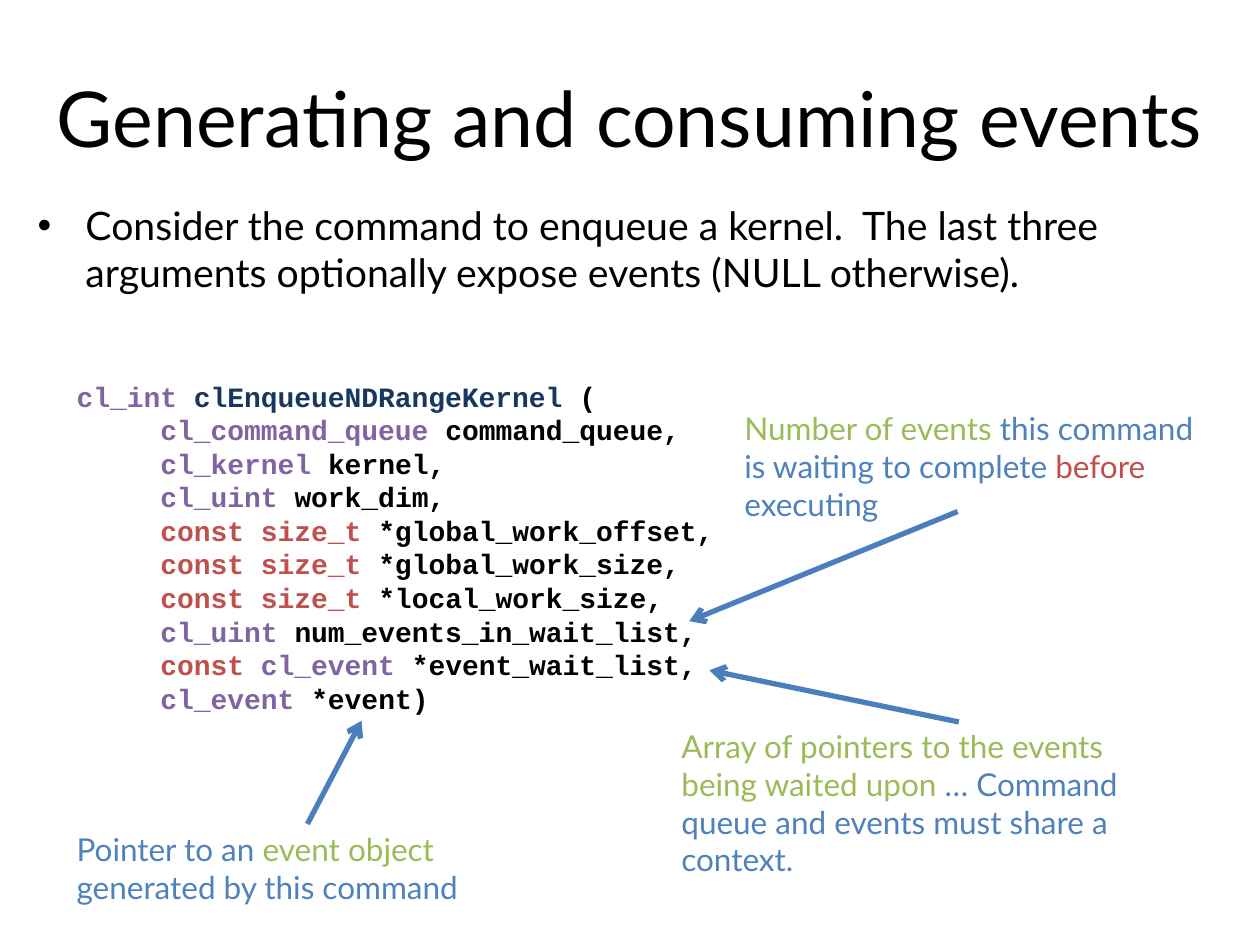
from lxml import etree
from pptx import Presentation
from pptx.dml.color import RGBColor
from pptx.enum.shapes import MSO_CONNECTOR as CONN
from pptx.enum.text import MSO_ANCHOR as ANCHOR, PP_ALIGN as ALIGN
from pptx.oxml.ns import qn
from pptx.util import Inches, Pt

BLACK = RGBColor(0x00, 0x00, 0x00)
PURPLE = RGBColor(0x80, 0x64, 0xA2)
NAVY = RGBColor(0x17, 0x37, 0x5E)
GREEN = RGBColor(0x9B, 0xBB, 0x59)
RED = RGBColor(0xC0, 0x50, 0x4D)
BLUE = RGBColor(0x4F, 0x81, 0xBD)
ARROW = RGBColor(0x4B, 0x7E, 0xBC)

INDENT = " " * 5
PARAMETERS = [
    [("cl_command_queue ", PURPLE), ("command_queue,", BLACK)],
    [("cl_kernel ", PURPLE), ("kernel,", BLACK)],
    [("cl_uint ", PURPLE), ("work_dim,", BLACK)],
    [("const size_t ", RED), ("*global_work_offset,", BLACK)],
    [("const size_t ", RED), ("*global_work_size,", BLACK)],
    [("const size_t ", RED), ("*local_work_size,", BLACK)],
    [("cl_uint ", PURPLE), ("num_events_in_wait_list,", BLACK)],
    [("const ", RED), ("cl_event ", PURPLE), ("*event_wait_list,", BLACK)],
    [("cl_event ", PURPLE), ("*event)", BLACK)],
]
CODE = [[("cl_int ", PURPLE), ("clEnqueueNDRangeKernel", NAVY), (" (", BLACK)]]
CODE += [[(INDENT, GREEN)] + runs for runs in PARAMETERS]


class Deck:
    """Holds the text style and the slide being built."""

    font = "Lato"
    code_font = "Courier New"

    def __init__(self, prs):
        self.s = prs.slides.add_slide(prs.slide_layouts[5])

    def runs(self, p, runs, size, font=None, bold=False):
        for text, color in runs:
            r = p.add_run()
            r.text = text
            r.font.name = font or self.font
            r.font.size = Pt(size)
            r.font.bold = bold
            r.font.color.rgb = color

    def title(self, text, x, y, w, h):
        sp = self.s.shapes.title
        sp.left, sp.top, sp.width, sp.height = map(Inches, (x, y, w, h))
        sp.text_frame.vertical_anchor = ANCHOR.MIDDLE
        p = sp.text_frame.paragraphs[0]
        p.alignment = ALIGN.CENTER
        self.runs(p, [(text, BLACK)], 44)

    def text(self, paragraphs, x, y, w, h, size=18, font=None, bold=False):
        sp = self.s.shapes.add_textbox(*map(Inches, (x, y, w, h)))
        tf = sp.text_frame
        tf.word_wrap = True
        for i, runs in enumerate(paragraphs):
            p = tf.add_paragraph() if i else tf.paragraphs[0]
            self.runs(p, runs, size, font, bold)
        return sp

    def bullet(self, text, x, y, w, h):
        sp = self.text([[(text, BLACK)]], x, y, w, h, size=22.4)
        pPr = sp.text_frame.paragraphs[0]._p.get_or_add_pPr()
        pPr.set("marL", str(Inches(0.38)))
        pPr.set("indent", str(-Inches(0.38)))
        etree.SubElement(pPr, qn("a:buFont"), typeface="Arial")
        etree.SubElement(pPr, qn("a:buChar"), char="•")

    def code(self, lines, x, y, w, h):
        self.text(lines, x, y, w, h, size=16, font=self.code_font, bold=True)

    def arrow(self, x1, y1, x2, y2, source=None):
        c = self.s.shapes.add_connector(CONN.STRAIGHT, *map(Inches, (x1, y1, x2, y2)))
        if source is not None:
            c.begin_connect(source, 0)
        c.line.color.rgb = ARROW
        c.line.width = Pt(3)
        etree.SubElement(c.line._get_or_add_ln(), qn("a:tailEnd"), type="arrow")
        etree.SubElement(c._element.spPr, qn("a:effectLst"))


def main():
    prs = Presentation()
    prs.slide_width, prs.slide_height = Inches(10), Inches(7.5)
    deck = Deck(prs)
    deck.title("Generating and consuming events", 0.12, 0.3, 9.76, 1.25)
    deck.bullet("Consider the command to enqueue a kernel.  The last three arguments "
                "optionally expose events (NULL otherwise).", 0.2, 1.55, 9.61, 0.82)
    deck.code(CODE, 0.51, 2.96, 5.91, 3.13)

    pointer = deck.text([[("Pointer to an ", BLUE), ("event object ", GREEN),
                          ("generated by this command", BLUE)]], 0.51, 6.54, 3.86, 0.71)
    deck.arrow(2.44, 6.54, 2.87, 5.72, source=pointer)

    deck.text([[("Array of pointers to the events being waited upon ", GREEN),
                ("… Command queue and events must share a context.", BLUE)]],
              5.31, 5.72, 3.86, 1.31)
    deck.arrow(7.61, 5.73, 5.63, 5.32)

    deck.text([[("Number of events ", GREEN), ("this command is waiting to complete ", BLUE),
                ("before", RED), (" executing", BLUE)]], 5.81, 3.2, 3.86, 1.01)
    deck.arrow(7.6, 4.06, 5.47, 4.93)
    prs.save("out.pptx")


if __name__ == "__main__":
    main()
